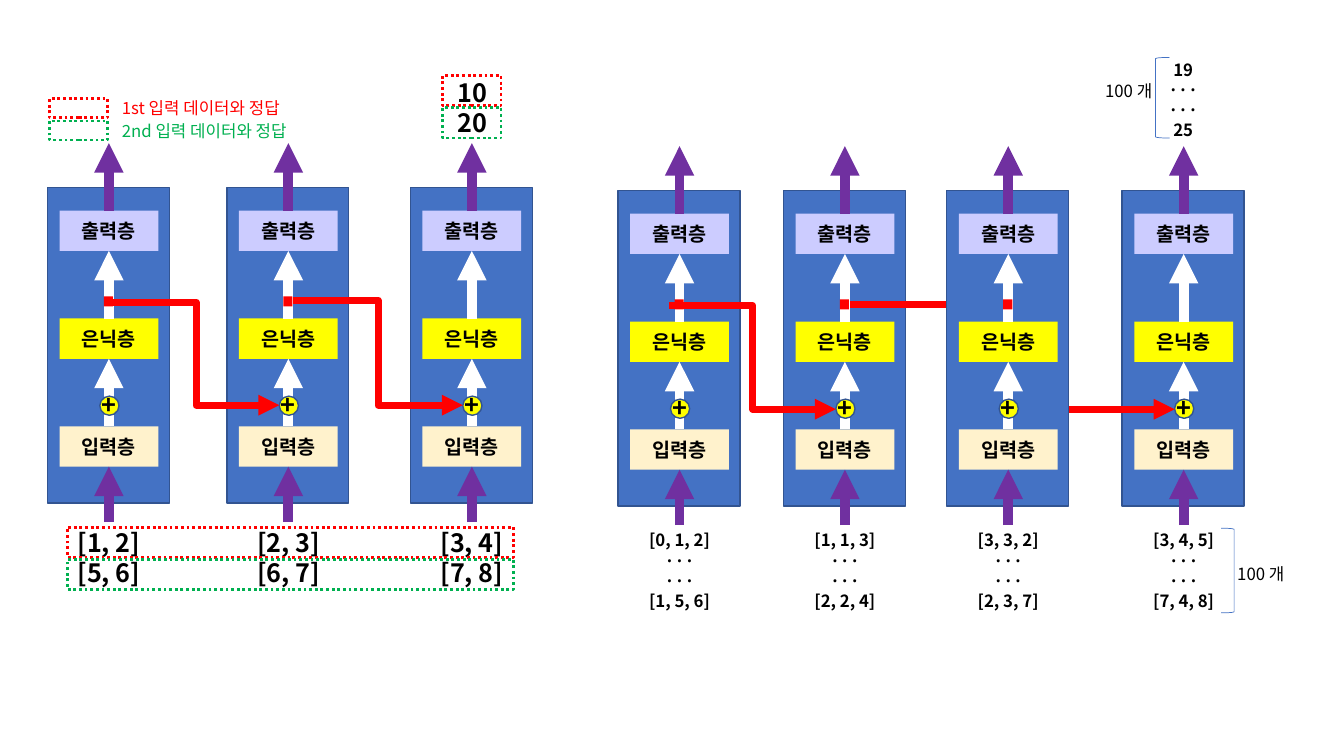
from dataclasses import dataclass

from lxml.etree import SubElement
from pptx import Presentation
from pptx.dml.color import RGBColor
from pptx.enum.dml import MSO_LINE
from pptx.enum.shapes import MSO_CONNECTOR as CONN, MSO_SHAPE as SHAPE
from pptx.enum.text import MSO_ANCHOR, MSO_AUTO_SIZE, PP_ALIGN
from pptx.oxml.ns import qn
from pptx.util import Inches, Pt


@dataclass(frozen=True)
class Theme:
    """Colours, font and type sizes of the slide."""
    font: str = "Noto Sans CJK KR"
    black: str = "000000"
    white: str = "FFFFFF"
    blue: str = "4472C4"
    edge: str = "325491"
    purple: str = "7030A0"
    red: str = "FF0000"
    green: str = "00B050"
    yellow: str = "FFFF00"
    cream: str = "FFF2CC"
    lilac: str = "CCCCFF"
    small: int = 12
    medium: int = 14
    large: int = 18


T = Theme()
LAYERS = (("입력층", 4.23, T.cream), ("은닉층", 3.16, T.yellow), ("출력층", 2.09, T.lilac))


def write(tf, lines, size, color=T.black, bold=True, align=PP_ALIGN.CENTER):
    """Fill a text frame with one paragraph per line."""
    for i, line in enumerate(lines):
        p = tf.paragraphs[0] if i == 0 else tf.add_paragraph()
        p.alignment = align
        r = p.add_run()
        r.text = line
        r.font.name, r.font.size, r.font.bold = T.font, Pt(size), bold
        r.font.color.rgb = RGBColor.from_string(color)
        SubElement(r.font._element, qn("a:ea")).set("typeface", T.font)


def add_text(s, x, y, w, h, lines, size, wrap=True, **style):
    """Add a text box that grows with its text."""
    tf = s.shapes.add_textbox(Inches(x), Inches(y), Inches(w), Inches(h)).text_frame
    tf.word_wrap = wrap
    tf.auto_size = MSO_AUTO_SIZE.SHAPE_TO_FIT_TEXT
    write(tf, lines, size, **style)


def add_shape(s, kind, x, y, w, h, fill=None, line=None, width=1):
    """Add a preset shape with an optional fill and outline."""
    sp = s.shapes.add_shape(kind, Inches(x), Inches(y), Inches(w), Inches(h))
    sp.shadow.inherit = False
    if fill:
        sp.fill.solid()
        sp.fill.fore_color.rgb = RGBColor.from_string(fill)
    else:
        sp.fill.background()
    if line:
        sp.line.color.rgb = RGBColor.from_string(line)
        sp.line.width = Pt(width)
    else:
        sp.line.fill.background()
    return sp


def add_frame(s, x, y, w, h, color):
    """Add a dotted frame that marks one sample."""
    sp = add_shape(s, SHAPE.RECTANGLE, x, y, w, h, line=color, width=2)
    sp.line.dash_style = MSO_LINE.ROUND_DOT


def add_arrow(s, start, end, color, width, kind=CONN.STRAIGHT):
    """Add a connector with a triangle head at its end."""
    c = s.shapes.add_connector(kind, *map(Inches, start + end))
    c.line.color.rgb = RGBColor.from_string(color)
    c.line.width = Pt(width)
    SubElement(c.line._get_or_add_ln(), qn("a:tailEnd")).set("type", "triangle")
    SubElement(c._element.spPr, qn("a:effectLst"))
    return c


def add_layer(s, cx, y, name, fill):
    """Add one named layer box."""
    sp = add_shape(s, SHAPE.RECTANGLE, cx - 0.49, y, 0.98, 0.4, fill)
    sp.text_frame.vertical_anchor = MSO_ANCHOR.MIDDLE
    write(sp.text_frame, [name], T.medium)
    return sp


def add_cell(s, cx, dy, inputs, size, passes_state):
    """Add one time step with its layers, arrows, sum node and input values."""
    add_shape(s, SHAPE.RECTANGLE, cx - 0.61, 1.86 + dy, 1.21, 3.13, T.blue, T.edge)
    layers = [add_layer(s, cx, y + dy, name, fill) for name, y, fill in LAYERS]
    feed = add_arrow(s, (cx, 5.18 + dy), (cx, 4.63 + dy), T.purple, 7)
    feed.end_connect(layers[0], 2)
    for lower, upper in zip(layers, layers[1:]):
        link = add_arrow(s, (cx, 4.23 + dy), (cx, 3.57 + dy), T.white, 7)
        link.begin_connect(lower, 0)
        link.end_connect(upper, 2)
    result = add_arrow(s, (cx, 2.09 + dy), (cx, 1.42 + dy), T.purple, 7)
    result.begin_connect(layers[-1], 0)
    if passes_state:
        add_shape(s, SHAPE.RECTANGLE, cx - 0.05, 2.94 + dy, 0.09, 0.1, T.red)
    add_shape(s, SHAPE.OVAL, cx - 0.09, 3.93 + dy, 0.19, 0.19, T.yellow, T.edge)
    add_text(s, cx - 0.19, 3.81 + dy, 0.38, 0.4, ["+"], T.large, wrap=False)
    add_text(s, cx - 0.59, 5.18 + dy, 1.18, 0.71, inputs, size)


def add_state(s, start, end):
    """Add the red elbow arrow that carries the hidden state."""
    add_arrow(s, start, end, T.red, 5, CONN.ELBOW)


def add_two_samples(s):
    """Draw the left network, fed with two samples."""
    steps = ((1.08, "[1, 2]", "[5, 6]"), (2.86, "[2, 3]", "[6, 7]"), (4.68, "[3, 4]", "[7, 8]"))
    for cx, *inputs in steps:
        add_cell(s, cx, 0, inputs, T.large, cx != steps[-1][0])
    add_text(s, 4.04, 0.72, 1.29, 0.71, ["10", "20"], T.large)
    add_state(s, (1.12, 3), (2.77, 4.02))
    add_state(s, (2.91, 2.98), (4.59, 4.02))
    for i, (color, label) in enumerate(((T.red, "1st"), (T.green, "2nd"))):
        add_frame(s, 0.67, 5.23 + 0.32 * i, 4.42, 0.3, color)
        add_frame(s, 4.39, 0.75 + 0.32 * i, 0.58, 0.3, color)
        add_frame(s, 0.49, 0.98 + 0.22 * i, 0.58, 0.19, color)
        add_text(s, 1.11, 0.92 + 0.23 * i, 1.95 + 0.07 * i, 0.3, [f"{label} 입력 데이터와 정답"],
                 T.small, wrap=False, color=color, bold=False, align=PP_ALIGN.LEFT)


def add_hundred_samples(s):
    """Draw the right network, fed with a hundred samples."""
    def column(first, last):
        return [first, "···", "···", last]

    def step(cx, first, last, passes_state=True):
        add_cell(s, cx, 0.03, column(first, last), T.small, passes_state)

    step(6.74, "[0, 1, 2]", "[1, 5, 6]")
    step(8.38, "[1, 1, 3]", "[2, 2, 4]")
    step(11.74, "[3, 4, 5]", "[7, 4, 8]", False)
    add_state(s, (6.64, 3.03), (8.29, 4.06))
    add_state(s, (8.43, 3.02), (11.65, 4.06))
    step(10, "[3, 3, 2]", "[2, 3, 7]")
    add_text(s, 11.09, 0.54, 1.29, 0.91, column("19", "25"), T.small)
    add_shape(s, SHAPE.LEFT_BRACKET, 11.46, 0.57, 0.14, 0.8, line=T.blue, width=0.5)
    bracket = add_shape(s, SHAPE.LEFT_BRACKET, 12.11, 5.24, 0.13, 0.84, line=T.blue, width=0.5)
    bracket.rotation = 180
    for x, y in ((10.81, 0.75), (12.12, 5.54)):
        add_text(s, x, y, 0.77, 0.3, ["100 개"], T.small, bold=False)


def main():
    """Build the slide and save it."""
    prs = Presentation()
    prs.slide_width, prs.slide_height = Inches(13.33), Inches(7.5)
    s = prs.slides.add_slide(prs.slide_layouts[6])
    add_two_samples(s)
    add_hundred_samples(s)
    prs.save("out.pptx")


if __name__ == "__main__":
    main()
